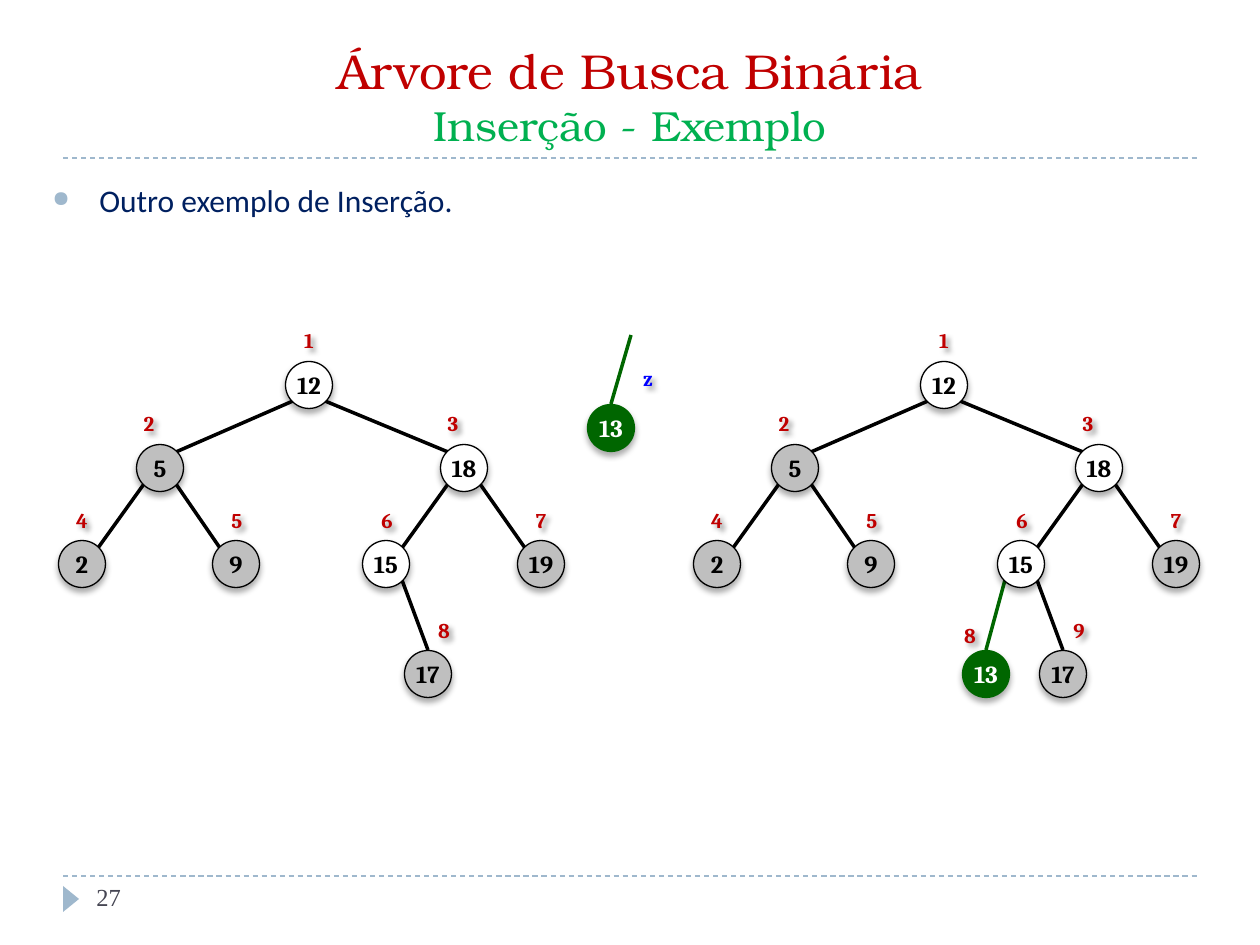
from lxml import etree
from pptx import Presentation
from pptx.dml.color import RGBColor
from pptx.enum.dml import MSO_LINE
from pptx.enum.shapes import MSO_CONNECTOR, MSO_SHAPE
from pptx.enum.text import MSO_ANCHOR, PP_ALIGN
from pptx.oxml.ns import qn
from pptx.util import Pt

CENTER, JUSTIFY, LEFT = PP_ALIGN.CENTER, PP_ALIGN.JUSTIFY, PP_ALIGN.LEFT
TOP, MIDDLE = MSO_ANCHOR.TOP, MSO_ANCHOR.MIDDLE
PX = 914400 / 126

COLORS = {
    "black": "000000", "white": "FFFFFF", "gray": "BFBFBF", "green": "006600",
    "red": "C00000", "blue": "0000FF", "navy": "002060", "title": "C00000",
    "subtitle": "00B050", "accent": "9FB8CD", "number": "464653",
}

TITLE = [("Árvore de Busca Binária", 28, "title"), ("Inserção - Exemplo", 24, "subtitle")]
BULLET = "Outro exemplo de Inserção."
PAGE_NUMBER = "27"
RULES_Y = [876, 158]

# key: (centre x, centre y, fill, parent, step label, label shift x, label shift y)
TREE = {
    12: (309, 385, "white", None, "1", 0, -45),
    5: (160, 468, "gray", 12, "2", -11, -45),
    18: (464, 468, "white", 12, "3", -11, -45),
    2: (82, 564, "gray", 5, "4", 0, -44),
    9: (236, 564, "gray", 5, "5", 1, -44),
    15: (386, 564, "white", 18, "6", 1, -44),
    19: (541, 564, "gray", 18, "7", 0, -44),
    17: (428, 674, "gray", 15, "8", 16, -44),
}
TREE_AFTER = {
    **TREE,
    13: (351, 674, "green", 15, "8", -16, -39),
    17: (428, 674, "gray", 15, "9", 16, -44),
}
TREE_SHIFT = 635
NEW_NODE = (611, 428)
NODE, RADIUS, CORNER = 47, 24, 16
LEAF_ROW = 674


def emu(*lengths):
    return [round(length * PX) for length in lengths]


def rgb(name):
    return RGBColor.from_string(COLORS[name])


def style(span, size, font, color, bold=False):
    span.font.size = Pt(size)
    span.font.name = font
    span.font.bold = bold
    span.font.color.rgb = rgb(color)


def add_effects(shape, shadow=None):
    """Attach an effect list; shadow is (blur, distance, angle, opacity %), None for no effect."""
    effects = etree.SubElement(shape._element.spPr, qn("a:effectLst"))
    if shadow:
        blur, distance, angle, opacity = shadow
        outer = etree.SubElement(effects, qn("a:outerShdw"), blurRad=str(Pt(blur)),
                                 dist=str(Pt(distance)), dir=str(angle * 60000),
                                 algn="ctr", rotWithShape="0")
        color = etree.SubElement(outer, qn("a:srgbClr"), val=COLORS["black"])
        etree.SubElement(color, qn("a:alpha"), val=str(opacity * 1000))


def add_line(page, start, end, color, width, dash=None):
    line = page.shapes.add_connector(MSO_CONNECTOR.STRAIGHT, *emu(*start, *end))
    line.line.color.rgb = rgb(color)
    line.line.width = Pt(width)
    if dash:
        line.line.dash_style = dash
    add_effects(line)


def add_text(page, area, spans, font, align=LEFT, anchor=TOP, bold=False):
    """Add a text box with one line per (text, size, color) span."""
    box = page.shapes.add_textbox(*emu(*area))
    frame = box.text_frame
    frame.word_wrap = True
    frame.vertical_anchor = anchor
    para = frame.paragraphs[0]
    para.text = "\v".join(text for text, _, _ in spans)
    para.alignment = align
    for span, (_, size, color) in zip(para.runs, spans):
        style(span, size, font, color, bold)
    return box


def add_label(page, x, y, text, color):
    box = add_text(page, (x - 26, y - 19, 52, 38), [(text, 12, color)],
                   "Cambria", CENTER, MIDDLE, True)
    add_effects(box, (3, 3, 45, 40))


def add_node(page, x, y, key, fill):
    node = page.shapes.add_shape(MSO_SHAPE.OVAL, *emu(x - NODE / 2, y - NODE / 2, NODE, NODE))
    is_new = fill == "green"
    node.fill.solid()
    node.fill.fore_color.rgb = rgb(fill)
    node.line.color.rgb = rgb("green" if is_new else "black")
    node.line.width = Pt(0.75)
    add_effects(node, (3.5, 2.2, 90, 32))
    frame = node.text_frame
    frame.margin_left = frame.margin_right = frame.margin_top = frame.margin_bottom = 0
    frame.vertical_anchor = MIDDLE
    frame.word_wrap = False
    para = frame.paragraphs[0]
    para.text = str(key)
    para.alignment = CENTER
    style(para.runs[0], 14, "Cambria", "white" if is_new else "black", True)


def add_tree(page, tree, shift):
    for x, y, fill, parent, *_ in tree.values():
        if parent is None:
            continue
        parent_x, parent_y = tree[parent][:2]
        side = 1 if x > parent_x else -1
        start = (shift + parent_x + side * CORNER, parent_y + CORNER)
        if y == LEAF_ROW:
            end = (shift + x, y - RADIUS)
        else:
            end = (shift + x - side * CORNER, y - CORNER)
        add_line(page, start, end, "green" if fill == "green" else "black", 2)
    for key, (x, y, fill, _, step, dx, dy) in tree.items():
        add_node(page, shift + x, y, key, fill)
        add_label(page, shift + x + dx, y + dy, step, "red")


def add_bullet(para):
    properties = para._p.get_or_add_pPr()
    properties.set("marL", str(emu(47)[0]))
    properties.set("indent", str(emu(-47)[0]))
    color = etree.SubElement(properties, qn("a:buClr"))
    etree.SubElement(color, qn("a:srgbClr"), val=COLORS["accent"])
    etree.SubElement(properties, qn("a:buSzPct"), val="70000")
    etree.SubElement(properties, qn("a:buChar"), char="●")


def main():
    deck = Presentation()
    deck.slide_width, deck.slide_height = emu(1260, 945)
    page = deck.slides.add_slide(deck.slide_layouts[6])

    for y in RULES_Y:
        add_line(page, (63, y), (1197, y), "accent", 0.75, MSO_LINE.DASH)
    marker = page.shapes.add_shape(MSO_SHAPE.ISOSCELES_TRIANGLE, *emu(58, 891, 26, 16))
    marker.rotation = 90
    marker.shadow.inherit = False
    marker.fill.solid()
    marker.fill.fore_color.rgb = rgb("accent")
    marker.line.fill.background()

    add_text(page, (63, 32, 1134, 126), TITLE, "TeX Gyre Bonum", CENTER, MIDDLE)
    add_text(page, (84, 876, 273, 50), [(PAGE_NUMBER, 14, "number")], "Times New Roman")
    body = add_text(page, (40, 175, 1071, 59), [(BULLET, 18, "navy")], "Calibri", JUSTIFY)
    add_bullet(body.text_frame.paragraphs[0])

    add_tree(page, TREE_AFTER, TREE_SHIFT)
    x, y = NEW_NODE
    add_line(page, (x, y - RADIUS), (x + 20, y - 93), "green", 2)
    add_node(page, x, y, 13, "green")
    add_label(page, x + 37, y - 50, "z", "blue")
    add_tree(page, TREE, 0)

    deck.save("out.pptx")


if __name__ == "__main__":
    main()
